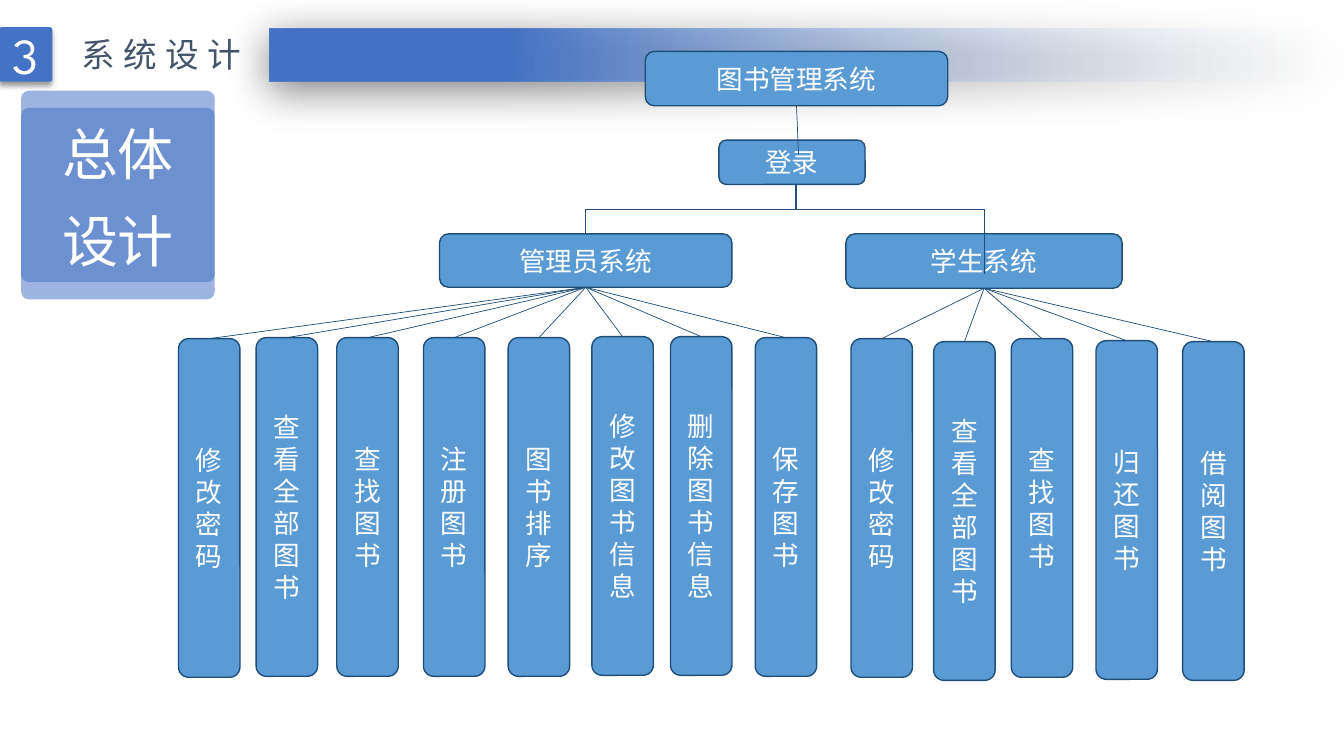
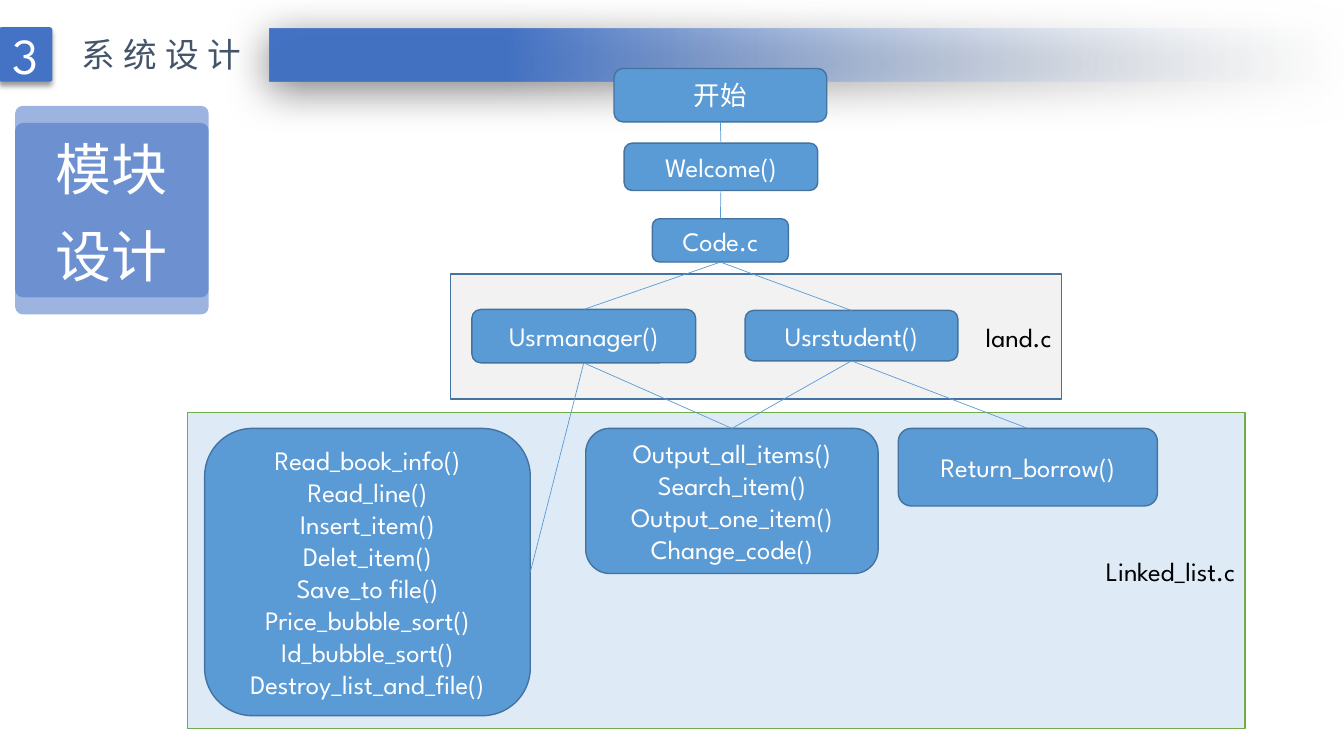
from dataclasses import dataclass

from lxml import etree
from pptx import Presentation
from pptx.dml.color import RGBColor
from pptx.enum.shapes import MSO_CONNECTOR, MSO_SHAPE
from pptx.enum.text import MSO_ANCHOR, MSO_AUTO_SIZE, PP_ALIGN
from pptx.oxml.ns import qn
from pptx.util import Pt

RECT, ROUND = MSO_SHAPE.RECTANGLE, MSO_SHAPE.ROUNDED_RECTANGLE
STRAIGHT, ELBOW = MSO_CONNECTOR.STRAIGHT, MSO_CONNECTOR.ELBOW
LEFT, CENTER, RIGHT = PP_ALIGN.LEFT, PP_ALIGN.CENTER, PP_ALIGN.RIGHT
TOP, MIDDLE = MSO_ANCHOR.TOP, MSO_ANCHOR.MIDDLE
FIT_SHAPE = MSO_AUTO_SIZE.SHAPE_TO_FIT_TEXT
SIDE_TOP, SIDE_BOTTOM, SIDE_RIGHT = 0, 2, 3

EMU_PER_PX = 9144
TITLE_ONLY = 5
BODY_FONT, HEAD_FONT = "League Spartan", "Noto Sans CJK SC"
BODY_SIZE = 19
LEAF_W, LEAF_H = 61, 336

COLORS = {
    "white": "FFFFFF",
    "black": "000000",
    "accent": "4472C4",
    "fade": "F7FAFD",
    "title": "44546A",
    "node": "5B9BD5",
    "navy": "1F4E79",
    "steel": "43739E",
    "green": "70AD47",
    "pale_blue": "DEEBF7",
    "pale_gray": "F2F2F2",
}


@dataclass(frozen=True)
class Box:
    text: str
    left: int
    top: int
    width: int
    height: int


@dataclass(frozen=True)
class Shadow:
    alpha: int
    blur: int
    dist: int
    angle: int


@dataclass(frozen=True)
class Link:
    start: str
    end: str
    start_side: int = SIDE_BOTTOM
    end_side: int = SIDE_TOP


BAR = Box("", 267, 28, 1067, 53)
BAR_SHADOW = Shadow(50, 31, 6, 97)
BADGE = Box("3", -1, 27, 53, 54)
BADGE_SHADOW = Shadow(40, 4, 3, 90)
TITLE = Box("系统设计", 71, 29, 188, 50)

ROOT = Box("图书管理系统", 640, 51, 300, 54)
LOGIN = Box("登录", 713, 139, 145, 44)
MANAGER = Box("管理员系统", 436, 232, 290, 53)
STUDENT = Box("学生系统", 839, 232, 274, 54)
MANAGER_LEAVES = [
    ("修改密码", 177, 336),
    ("查看全部图书", 254, 335),
    ("查找图书", 334, 335),
    ("注册图书", 420, 335),
    ("图书排序", 504, 335),
    ("修改图书信息", 587, 334),
    ("删除图书信息", 665, 334),
    ("保存图书", 749, 335),
]
STUDENT_LEAVES = [
    ("修改密码", 844, 336),
    ("查看全部图书", 926, 339),
    ("查找图书", 1003, 336),
    ("归还图书", 1087, 338),
    ("借阅图书", 1173, 339),
]

MODULES = {
    "start": Box("开始", 609, 68, 211, 53),
    "welcome": Box("Welcome()", 619, 142, 192, 47),
    "code": Box("Code.c", 647, 217, 135, 43),
    "manager": Box("Usrmanager()", 468, 307, 222, 53),
    "student": Box("Usrstudent()", 739, 308, 211, 50),
    "list": Box(
        "Read_book_info()\nRead_line()\nInsert_item()\nDelet_item()\nSave_to file()\n"
        "Price_bubble_sort()\nId_bubble_sort()\nDestroy_list_and_file()",
        203, 425, 323, 285,
    ),
    "shared": Box(
        "Output_all_items()\nSearch_item()\nOutput_one_item()\nChange_code()",
        581, 425, 290, 144,
    ),
    "borrow": Box("Return_borrow()", 891, 425, 257, 77),
}
MODULE_LINKS = [
    Link("start", "welcome"),
    Link("welcome", "code"),
    Link("code", "manager"),
    Link("code", "student"),
    Link("manager", "shared"),
    Link("student", "shared"),
    Link("manager", "list", end_side=SIDE_RIGHT),
    Link("student", "borrow"),
]


def px(n: int) -> int:
    return n * EMU_PER_PX


def rgb(name: str) -> RGBColor:
    return RGBColor.from_string(COLORS[name])


def set_alpha(fill_element, percent: int) -> None:
    color = next(fill_element.iter(qn("a:srgbClr")))
    etree.SubElement(color, qn("a:alpha")).set("val", str(percent * 1000))


def format_text(tf, color: str, size: int = BODY_SIZE, font: str = BODY_FONT,
                align=CENTER, anchor=MIDDLE, wrap: bool = True) -> None:
    tf.word_wrap = wrap
    tf.vertical_anchor = anchor
    for p in tf.paragraphs:
        p.alignment = align
        for r in p.runs:
            r.font.size = Pt(size)
            r.font.name = font
            r.font.color.rgb = rgb(color)
            ea = etree.SubElement(r.font._element, qn("a:ea"))
            ea.set("typeface", BODY_FONT)


def add_box(shapes, box: Box, kind=ROUND, fill: str = "node", line: str = ""):
    sp = shapes.add_shape(kind, px(box.left), px(box.top), px(box.width), px(box.height))
    sp.shadow.inherit = False
    sp.fill.solid()
    sp.fill.fore_color.rgb = rgb(fill)
    if line:
        sp.line.color.rgb = rgb(line)
        sp.line.width = Pt(1)
    else:
        sp.line.fill.background()
    if box.text:
        sp.text_frame.text = box.text
    return sp


def add_shadow(sp, shadow: Shadow) -> None:
    effects = sp._element.spPr.find(qn("a:effectLst"))
    outer = etree.SubElement(effects, qn("a:outerShdw"))
    outer.set("blurRad", str(Pt(shadow.blur)))
    outer.set("dist", str(Pt(shadow.dist)))
    outer.set("dir", str(shadow.angle * 60000))
    outer.set("algn", "ctr")
    outer.set("rotWithShape", "0")
    etree.SubElement(outer, qn("a:srgbClr")).set("val", COLORS["black"])
    set_alpha(outer, shadow.alpha)


def add_node(s, box: Box, line: str):
    sp = add_box(s.shapes, box, line=line)
    format_text(sp.text_frame, "white")
    return sp


def add_panel(s, box: Box, fill: str, line: str) -> None:
    sp = add_box(s.shapes, box, RECT, fill, line)
    format_text(sp.text_frame, "black", align=RIGHT)


def add_line(s, kind, color: str, x1: int = 0, y1: int = 0, x2: int = 0, y2: int = 0):
    cn = s.shapes.add_connector(kind, px(x1), px(y1), px(x2), px(y2))
    cn.line.color.rgb = rgb(color)
    cn.line.width = Pt(0.5)
    etree.SubElement(cn._element.spPr, qn("a:effectLst"))
    return cn


def join(s, start, end, color: str, start_side: int = SIDE_BOTTOM,
         end_side: int = SIDE_TOP) -> None:
    cn = add_line(s, STRAIGHT, color)
    cn.begin_connect(start, start_side)
    cn.end_connect(end, end_side)


def add_down_elbow(s, color: str, x1: int, y1: int, x2: int, y2: int) -> None:
    cx, cy = (x1 + x2) // 2, (y1 + y2) // 2
    half_w, half_h = (y2 - y1) // 2, abs(x2 - x1) // 2
    turn = 1 if x2 > x1 else -1
    cn = add_line(s, ELBOW, color, cx + turn * half_w, cy - half_h,
                  cx - turn * half_w, cy + half_h)
    angle = 270 if x2 > x1 else 90
    cn._element.spPr.find(qn("a:xfrm")).set("rot", str(angle * 60000))


def add_title(s) -> None:
    sp = s.shapes.title
    sp.left, sp.top = px(TITLE.left), px(TITLE.top)
    sp.width, sp.height = px(TITLE.width), px(TITLE.height)
    tf = sp.text_frame
    tf.text = TITLE.text
    tf.auto_size = FIT_SHAPE
    tf.margin_left = tf.margin_right = px(10)
    tf.margin_top = tf.margin_bottom = px(5)
    format_text(tf, "title", 24, HEAD_FONT, LEFT, TOP, wrap=False)
    tf.paragraphs[0].runs[0].font._element.set("spc", "600")


def add_bar(s) -> None:
    sp = add_box(s.shapes, BAR, RECT, "accent")
    sp.fill.gradient()
    sp.fill.gradient_angle = 180
    clear, solid = sp.fill.gradient_stops
    clear.position, solid.position = 0, 0.78
    clear.color.rgb, solid.color.rgb = rgb("fade"), rgb("accent")
    set_alpha(sp._element.spPr.find(qn("a:gradFill")), 0)
    add_shadow(sp, BAR_SHADOW)


def add_heading(s, text: str, left: int, top: int) -> None:
    group = s.shapes.add_group_shape()
    for box in (Box("", left, top + 17, 192, 190), Box(text, left, top, 192, 190)):
        sp = add_box(group.shapes, box, fill="accent")
        sp.adjustments[0] = 0.04
        set_alpha(sp._element.spPr.find(qn("a:solidFill")), 53)
        format_text(sp.text_frame, "white", 40, HEAD_FONT)
        sp.text_frame.paragraphs[0].line_spacing = 1.3


def new_slide(prs, heading: str, left: int, top: int):
    s = prs.slides.add_slide(prs.slide_layouts[TITLE_ONLY])
    add_title(s)
    add_bar(s)
    badge = add_box(s.shapes, BADGE, fill="accent")
    badge.adjustments[0] = 0.05
    add_shadow(badge, BADGE_SHADOW)
    format_text(badge.text_frame, "white", 36)
    add_heading(s, heading, left, top)
    return s


def build_overall_design(prs) -> None:
    s = new_slide(prs, "总体 设计", 21, 90)
    root, manager, student = (add_node(s, b, "navy") for b in (ROOT, MANAGER, STUDENT))
    add_down_elbow(s, "navy", 790, 144, 976, 272)
    add_down_elbow(s, "navy", 790, 184, 581, 232)
    for parent, leaves in ((manager, MANAGER_LEAVES), (student, STUDENT_LEAVES)):
        for text, left, top in leaves:
            leaf = add_node(s, Box(text, left, top, LEAF_W, LEAF_H), "navy")
            join(s, parent, leaf, "navy")
    add_node(s, LOGIN, "navy")
    add_line(s, STRAIGHT, "navy", 791, 102, 792, 153).begin_connect(root, SIDE_BOTTOM)


def build_module_design(prs) -> None:
    s = new_slide(prs, "模块 设计", 15, 105)
    add_panel(s, Box("Linked_list.c", 186, 409, 1049, 314), "pale_blue", "green")
    add_panel(s, Box("land.c", 447, 272, 606, 124), "pale_gray", "steel")
    nodes = {name: add_node(s, box, "steel") for name, box in MODULES.items()}
    for k in MODULE_LINKS:
        join(s, nodes[k.start], nodes[k.end], "node", k.start_side, k.end_side)


def main() -> None:
    prs = Presentation()
    prs.slide_width, prs.slide_height = px(1333), px(750)
    build_overall_design(prs)
    build_module_design(prs)
    prs.save("out.pptx")


if __name__ == "__main__":
    main()
